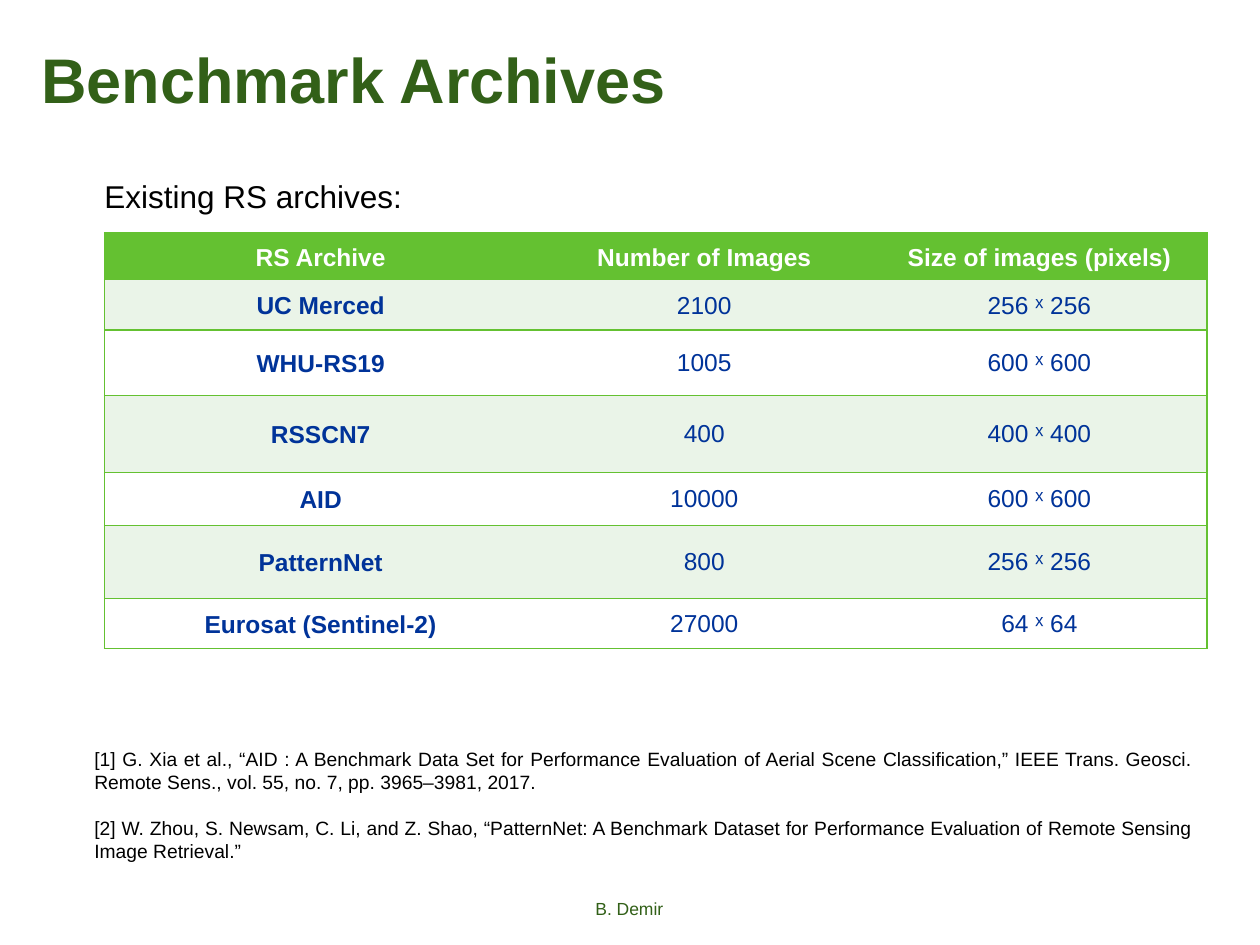
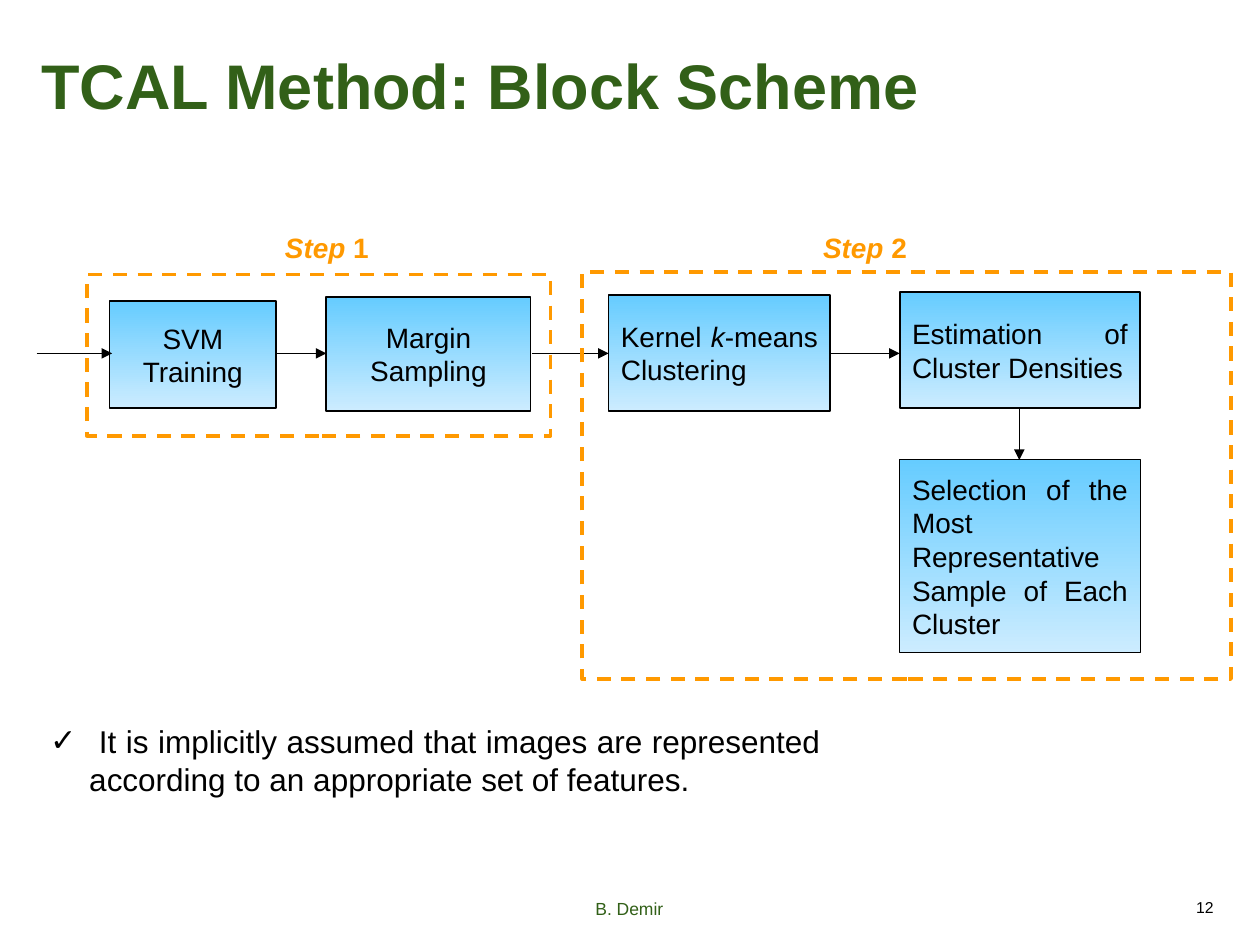
from lxml import etree
from pptx import Presentation, util as u
from pptx.dml import color
from pptx.enum import dml, shapes, text
from pptx.oxml import ns

COLUMNS, ROWS = 100, 75
COLORS = {
    "title": "326018", "ink": "000000", "white": "FFFFFF", "grass": "64C131",
    "mint": "EAF4E8", "navy": "003399", "orange": "FF9900",
    "sky": "66CCFF", "mist": "CCECFF",
}
ALIGN, ANCHOR, SHAPE = text.PP_ALIGN, text.MSO_ANCHOR, shapes.MSO_SHAPE
BOLD, ITALIC = {"bold": True}, {"italic": True}


def assign(target, values):
    for name, value in values.items():
        setattr(target, name, value)


def rgb(name):
    return color.RGBColor.from_string(COLORS[name])


def add_xml(parent, tag, **attributes):
    return etree.SubElement(parent, ns.qn(tag), attributes)


class Slides:
    font = "Arial"

    def __init__(self):
        self.deck = Presentation()
        assign(self.deck, {"slide_width": u.Inches(10), "slide_height": u.Inches(7.5)})
        self.column = self.deck.slide_width / COLUMNS
        self.row = self.deck.slide_height / ROWS
        self.page = None

    def place(self, left, top, width, height):
        return (round(left * self.column), round(top * self.row),
                round(width * self.column), round(height * self.row))

    def start(self, title, top):
        self.page = self.deck.slides.add_slide(self.deck.slide_layouts[6])
        self.label((2.3, top, 91.5, 6.2), [title], 36, "title",
                   font=BOLD, frame={"vertical_anchor": ANCHOR.MIDDLE})
        self.label((33.8, 70.8, 32.3, 4), ["B. Demir"], 10, "title", align=ALIGN.CENTER)

    def add_lines(self, frame, lines, size, ink, align=ALIGN.LEFT, font=None, layout=None, gap=0):
        for number, line in enumerate(lines):
            para = frame.add_paragraph() if number else frame.paragraphs[0]
            assign(para, {"alignment": align, **(layout or {})})
            if number and gap:
                para.space_before = u.Pt(gap)
            for words, extra in [(line, {})] if isinstance(line, str) else line:
                span = para.add_run()
                span.text = words
                assign(span.font, {"name": self.font, "size": u.Pt(size),
                                   **(font or {}), **extra})
                span.font.color.rgb = rgb(ink)

    def label(self, area, lines, size, ink="ink", frame=None, **style):
        box = self.page.shapes.add_textbox(*self.place(*area))
        assign(box.text_frame, {"word_wrap": True, **(frame or {})})
        self.add_lines(box.text_frame, lines, size, ink, **style)
        return box

    def bullet(self, area, line, size):
        box = self.label(area, [line], size, align=ALIGN.JUSTIFY)
        properties = box.text_frame.paragraphs[0]._p.get_or_add_pPr()
        indent = round(3.1 * self.column)
        properties.set("marL", str(indent))
        properties.set("indent", str(-indent))
        add_xml(properties, "a:buFont", typeface=self.font)
        add_xml(properties, "a:buChar", char="✓")

    def outline(self, line, ink, width, dash=None):
        line.color.rgb = rgb(ink)
        assign(line, {"width": u.Pt(width), "dash_style": dash})

    def block(self, area, lines, align=ALIGN.JUSTIFY, kind=SHAPE.FLOWCHART_PROCESS, width=1):
        box = self.page.shapes.add_shape(kind, *self.place(*area))
        box.shadow.inherit = False
        box.fill.gradient()
        box.fill.gradient_angle = 270
        for stop, name in zip(box.fill.gradient_stops, ("sky", "mist")):
            stop.color.rgb = rgb(name)
        self.outline(box.line, "ink", width)
        assign(box.text_frame, {"word_wrap": True, "vertical_anchor": ANCHOR.MIDDLE,
                                "margin_top": 0, "margin_bottom": 0})
        self.add_lines(box.text_frame, lines, 16, "ink", align)

    def step(self, name, label_left, area):
        box = self.page.shapes.add_shape(SHAPE.RECTANGLE, *self.place(*area))
        box.shadow.inherit = False
        box.fill.background()
        self.outline(box.line, "orange", 2, dml.MSO_LINE.DASH)
        self.label((label_left, 17.8, 8.7, 3.7), [[("Step", ITALIC), (f" {name}", {})]],
                   16, "orange", align=ALIGN.CENTER, font=BOLD, frame={"word_wrap": False})

    def arrow(self, *ends):
        line = self.page.shapes.add_connector(shapes.MSO_CONNECTOR.STRAIGHT, *self.place(*ends))
        self.outline(line.line, "ink", 0.75)
        add_xml(line.line._get_or_add_ln(), "a:tailEnd", type="triangle")
        add_xml(line._element.spPr, "a:effectLst")

    def border(self, cell, visible):
        properties = cell._tc.get_or_add_tcPr()
        for side in "LRTB":
            line = add_xml(properties, f"a:ln{side}", w=str(u.Pt(1)))
            if side in visible:
                add_xml(add_xml(line, "a:solidFill"), "a:srgbClr", val=COLORS["grass"])
            else:
                add_xml(line, "a:noFill")

    def table(self, left, top, widths, heights, records):
        area = self.place(left, top, sum(widths), sum(heights))
        grid = self.page.shapes.add_table(len(heights), len(widths), *area).table
        assign(grid, {"first_row": False, "horz_banding": False})
        for column, width in zip(grid.columns, widths):
            column.width = round(width * self.column)
        for row, height in zip(grid.rows, heights):
            row.height = round(height * self.row)
        last = len(widths) - 1
        for r, record in enumerate(records):
            fill = "grass" if r == 0 else ("white", "mint")[r % 2]
            for c, words in enumerate(record):
                cell = grid.cell(r, c)
                self.border(cell, "TB" + "L" * (c == 0) + "R" * (c == last))
                cell.fill.solid()
                cell.fill.fore_color.rgb = rgb(fill)
                assign(cell, {"vertical_anchor": ANCHOR.MIDDLE,
                              "margin_left": u.Inches(0.07), "margin_right": u.Inches(0.07),
                              "margin_top": 0, "margin_bottom": 0})
                spacing = 1.1 if r < 2 or c == 0 else 1.0
                self.add_lines(cell.text_frame, [words], 14, "navy" if r else "white",
                               ALIGN.CENTER, {"bold": r == 0 or c == 0},
                               {"line_spacing": spacing})


def archives(slides):
    slides.start("Benchmark Archives", 3.1)
    slides.label((7.3, 13.6, 43.8, 4), ["Existing RS archives:"], 18)
    slides.table(8.3, 18.5, (34.3, 26.6, 26.6), (3.7, 4, 5.2, 6.1, 4.2, 5.8, 4), [
        ("RS Archive", "Number of Images", "Size of images (pixels)"),
        ("UC Merced", "2100", "256 ˣ 256"),
        ("WHU-RS19", "1005", "600 ˣ 600"),
        ("RSSCN7", "400", "400 ˣ 400"),
        ("AID", "10000", "600 ˣ 600"),
        ("PatternNet", "800", "256 ˣ 256"),
        ("Eurosat (Sentinel-2)", "27000", "64 ˣ 64"),
    ])
    slides.label((6.5, 58.8, 89.2, 10.3), [
        "[1] G. Xia et al., “AID : A Benchmark Data Set for Performance Evaluation of Aerial "
        "Scene Classification,” IEEE Trans. Geosci. Remote Sens., vol. 55, no. 7, "
        "pp. 3965–3981, 2017.",
        "[2] W. Zhou, S. Newsam, C. Li, and Z. Shao, “PatternNet: A Benchmark Dataset for "
        "Performance Evaluation of Remote Sensing Image Retrieval.”",
    ], 11, align=ALIGN.JUSTIFY, gap=13)


def block_scheme(slides):
    slides.start("TCAL Method: Block Scheme", 3.6)
    slides.block((8.7, 23.9, 13.2, 8.5), ["SVM", "Training"], ALIGN.CENTER, SHAPE.RECTANGLE)
    slides.block((25.9, 23.6, 16.2, 9), ["Margin Sampling"], ALIGN.CENTER)
    slides.block((48.3, 23.4, 17.6, 9.2),
                 [[("Kernel ", {}), ("k", ITALIC), ("-means Clustering", {})]])
    slides.block((71.4, 23.2, 19.1, 9.2), ["Estimation of Cluster Densities"])
    slides.block((71.4, 36.5, 19.1, 15.3),
                 ["Selection of the Most Representative Sample of Each Cluster"], width=0.75)
    for start, end in ((2.9, 8.9), (21.9, 25.9), (42.2, 48.3), (65.9, 71.4)):
        slides.arrow(start, 28.05, end, 28.05)
    slides.arrow(80.9, 32.4, 80.9, 36.5)
    slides.step(1, 21.6, (6.9, 21.8, 36.8, 12.8))
    slides.step(2, 64.3, (46.2, 21.6, 51.5, 32.3))
    slides.bullet((3, 56.8, 63.1, 10), " It is implicitly assumed that images are represented "
                  "according to an appropriate set of features.", 18)
    slides.label((74, 70.8, 23.3, 4), ["12"], 9, align=ALIGN.RIGHT)


def main():
    slides = Slides()
    archives(slides)
    block_scheme(slides)
    slides.deck.save("out.pptx")


if __name__ == "__main__":
    main()
